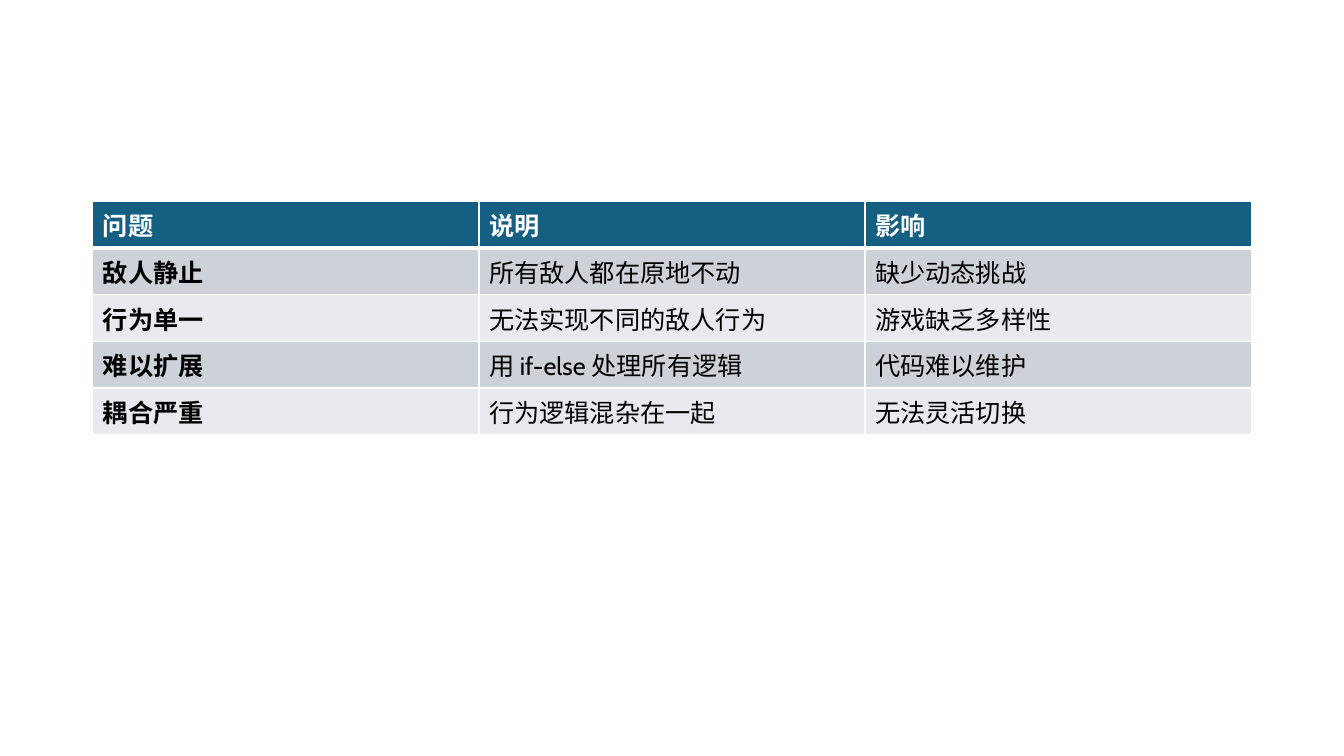
from lxml import etree
from pptx import Presentation
from pptx.dml.color import RGBColor
from pptx.enum.text import MSO_ANCHOR
from pptx.oxml.ns import qn
from pptx.util import Inches, Pt

MIDDLE = MSO_ANCHOR.MIDDLE
WHITE = RGBColor(0xFF, 0xFF, 0xFF)
BLACK = RGBColor(0x00, 0x00, 0x00)
HEADER_BLUE = RGBColor(0x15, 0x60, 0x82)
DARK_BAND = RGBColor(0xCC, 0xD2, 0xD8)
LIGHT_BAND = RGBColor(0xE8, 0xEA, 0xED)
FONT = "Cabin"
BLANK_LAYOUT = 6

SLIDE_WIDTH, SLIDE_HEIGHT = Inches(13.33), Inches(7.5)
TABLE_LEFT, TABLE_TOP = Inches(0.92), Inches(2)
COLUMN_WIDTH, ROW_HEIGHT = Inches(3.83), Inches(0.41)
THIN, THICK = Pt(1), Pt(3)

PROBLEMS = [
    ("问题", "说明", "影响"),
    ("敌人静止", "所有敌人都在原地不动", "缺少动态挑战"),
    ("行为单一", "无法实现不同的敌人行为", "游戏缺乏多样性"),
    ("难以扩展", "用 if-else 处理所有逻辑", "代码难以维护"),
    ("耦合严重", "行为逻辑混杂在一起", "无法灵活切换"),
]


def set_borders(cell, top, bottom):
    properties = cell._tc.get_or_add_tcPr()
    widths = {"a:lnL": THIN, "a:lnR": THIN, "a:lnT": top, "a:lnB": bottom}
    for tag, width in widths.items():
        line = etree.SubElement(properties, qn(tag), w=str(width))
        fill = etree.SubElement(line, qn("a:solidFill"))
        etree.SubElement(fill, qn("a:srgbClr"), val=str(WHITE))


def fill_cell(cell, text, color, background, bold):
    cell.fill.solid()
    cell.fill.fore_color.rgb = background
    cell.vertical_anchor = MIDDLE
    cell.text_frame.text = text
    font = cell.text_frame.paragraphs[0].runs[0].font
    font.name = FONT
    font.size = Pt(18)
    font.bold = bold
    font.color.rgb = color


def add_problem_table(page, rows):
    row_count, column_count = len(rows), len(rows[0])
    table = page.shapes.add_table(
        row_count, column_count, TABLE_LEFT, TABLE_TOP,
        COLUMN_WIDTH * column_count, ROW_HEIGHT * row_count,
    ).table
    for column in table.columns:
        column.width = COLUMN_WIDTH
    for row_index, texts in enumerate(rows):
        table.rows[row_index].height = ROW_HEIGHT
        is_header = row_index == 0
        band = DARK_BAND if row_index % 2 else LIGHT_BAND
        background = HEADER_BLUE if is_header else band
        color = WHITE if is_header else BLACK
        top = THICK if row_index == 1 else THIN
        bottom = THICK if is_header else THIN
        for column_index, text in enumerate(texts):
            cell = table.cell(row_index, column_index)
            set_borders(cell, top, bottom)
            fill_cell(cell, text, color, background, is_header or column_index == 0)


def main():
    deck = Presentation()
    deck.slide_width, deck.slide_height = SLIDE_WIDTH, SLIDE_HEIGHT
    page = deck.slides.add_slide(deck.slide_layouts[BLANK_LAYOUT])
    add_problem_table(page, PROBLEMS)
    deck.save("out.pptx")


if __name__ == "__main__":
    main()
